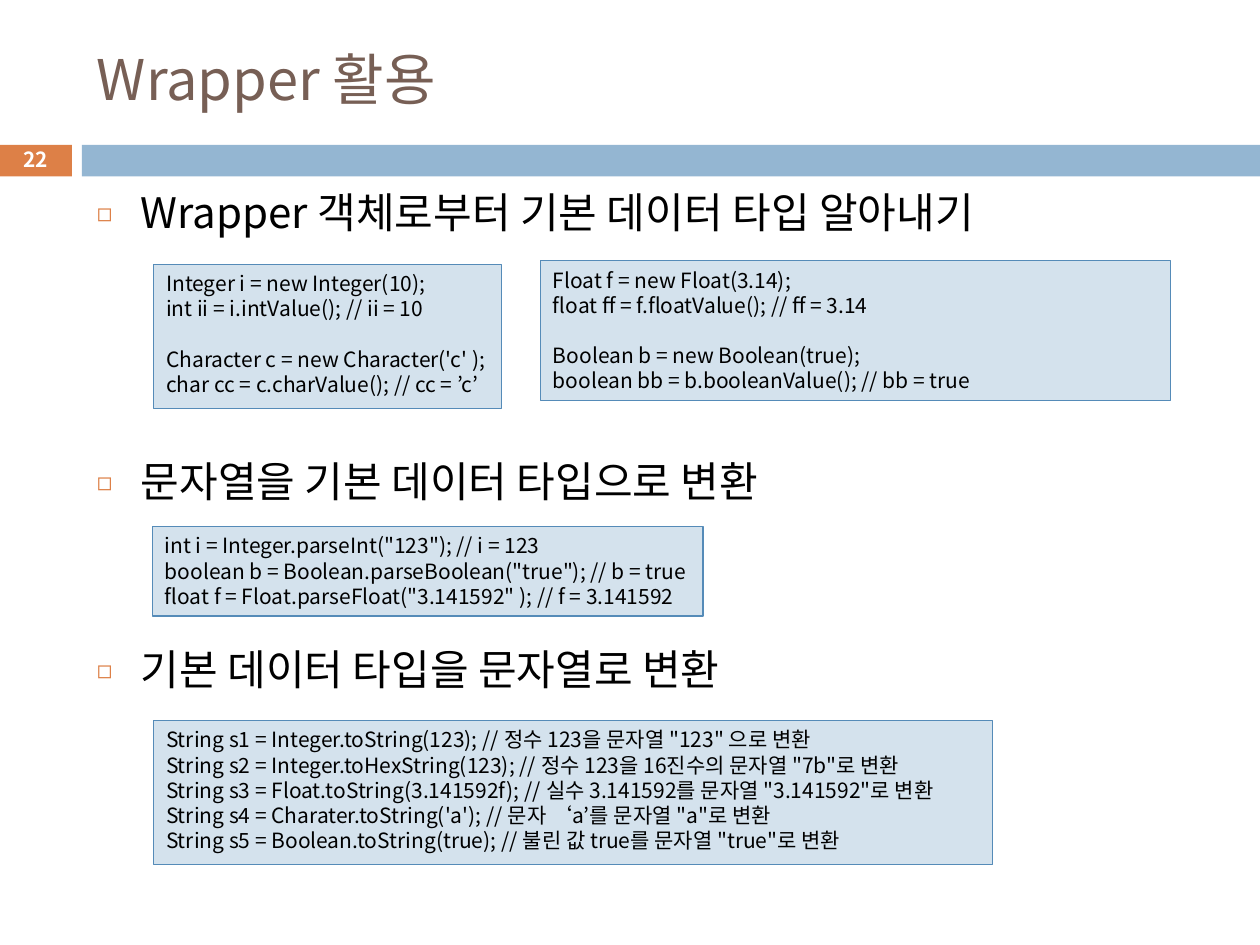
"""Build the slide on converting values with Java wrapper classes."""
import pptx
import pptx.dml.color
import pptx.enum.shapes
import pptx.enum.text
import pptx.oxml.ns
import pptx.util
from lxml import etree
from pptx.util import Inches, Pt

COLORS = {"title": "775F55", "text": "000000", "white": "FFFFFF", "accent": "DD8047",
          "band": "94B6D2", "code_fill": "D4E2ED", "code_line": "558BB8"}
FONT = "Noto Sans CJK KR"
LINE_HEIGHT = 1.2
ANCHOR = pptx.enum.text.MSO_ANCHOR
qn = pptx.oxml.ns.qn


def add_rect(box, fill, line=None):
    rect = slide.shapes.add_shape(pptx.enum.shapes.MSO_SHAPE.RECTANGLE, *map(Inches, box))
    rect.shadow.inherit = False
    rect.fill.solid()
    rect.fill.fore_color.rgb = pptx.dml.color.RGBColor.from_string(COLORS[fill])
    if line:
        rect.line.color.rgb = pptx.dml.color.RGBColor.from_string(COLORS[line])
        rect.line.width = Pt(0.75)
    else:
        rect.line.fill.background()
    return rect


def write_lines(frame, lines, size, color="text", anchor=ANCHOR.TOP):
    frame.vertical_anchor = anchor
    for index, (words, gap) in enumerate(lines):
        paragraph = frame.paragraphs[0] if index == 0 else frame.add_paragraph()
        paragraph.alignment = pptx.enum.text.PP_ALIGN.LEFT
        paragraph.line_spacing = Pt(size * LINE_HEIGHT)
        paragraph.space_before = Pt(gap)
        run = paragraph.add_run()
        run.text = words
        run.font.size = Pt(size)
        run.font.name = FONT
        run.font.color.rgb = pptx.dml.color.RGBColor.from_string(COLORS[color])
        etree.SubElement(run.font._element, qn("a:ea"), typeface=FONT)
    return frame.paragraphs


presentation = pptx.Presentation()
presentation.slide_width, presentation.slide_height = Inches(10), Inches(7.5)
slide = presentation.slides.add_slide(presentation.slide_layouts[6])

add_rect((-0.01, 1.15, 0.58, 0.25), "accent")
add_rect((0.65, 1.15, 9.35, 0.25), "band")

title = slide.shapes.add_textbox(Inches(0.67), Inches(0.25), Inches(8.92), Inches(0.74))
title.text_frame.word_wrap = True
write_lines(title.text_frame, [("Wrapper 활용", 0)], 32, "title", ANCHOR.MIDDLE)

topics = slide.shapes.add_textbox(Inches(0.67), Inches(1.43), Inches(8.92), Inches(6.07))
topics.text_frame.word_wrap = True
headings = [("Wrapper 객체로부터 기본 데이터 타입 알아내기", 0),
            ("문자열을 기본 데이터 타입으로 변환", 125),
            ("기본 데이터 타입을 문자열로 변환", 78.4)]
for heading in write_lines(topics.text_frame, headings, 24):
    properties = heading._p.get_or_add_pPr()
    properties.set("marL", str(Inches(0.35)))
    properties.set("indent", str(-Inches(0.35)))
    bullet_color = etree.SubElement(properties, qn("a:buClr"))
    etree.SubElement(bullet_color, qn("a:srgbClr"), val=COLORS["accent"])
    etree.SubElement(properties, qn("a:buSzPct"), val="60000")
    etree.SubElement(properties, qn("a:buFont"), typeface=FONT)
    etree.SubElement(properties, qn("a:buChar"), char="◻")

page_number = slide.shapes.add_textbox(Inches(-0.01), Inches(1.13), Inches(0.58), Inches(0.27))
page_number.text_frame.word_wrap = True
page_line = write_lines(page_number.text_frame, [("22", 0)], 11.9, "white", ANCHOR.MIDDLE)[0]
page_line.alignment = pptx.enum.text.PP_ALIGN.CENTER
page_line.runs[0].font.bold = True

code_samples = [
    ((1.22, 2.1, 2.76, 1.14), False, [
        ("Integer i = new Integer(10);", 0),
        ("int ii = i.intValue(); // ii = 10", 0),
        ("Character c = new Character('c' );", 14.4),
        ("char cc = c.charValue(); // cc = ’c’", 0)]),
    ((1.21, 4.18, 4.37, 0.71), False, [
        ('int i = Integer.parseInt("123"); // i = 123', 0),
        ('boolean b = Boolean.parseBoolean("true"); // b = true', 0),
        ('float f = Float.parseFloat("3.141592" ); // f = 3.141592', 0)]),
    ((1.22, 5.72, 6.66, 1.14), False, [
        ('String s1 = Integer.toString(123); // 정수 123을 문자열 "123" 으로 변환', 0),
        ('String s2 = Integer.toHexString(123); // 정수 123을 16진수의 문자열 "7b"로 변환', 0),
        ('String s3 = Float.toString(3.141592f); // 실수 3.141592를 문자열 "3.141592"로 변환', 0),
        ("String s4 = Charater.toString('a'); // 문자 ‘a’를 문자열 \"a\"로 변환", 0),
        ('String s5 = Boolean.toString(true); // 불린 값 true를 문자열 "true"로 변환', 0)]),
    ((4.29, 2.07, 5, 1.11), True, [
        ("Float f = new Float(3.14);", 0),
        ("float ff = f.floatValue(); // ff = 3.14", 0),
        ("Boolean b = new Boolean(true);", 14.4),
        ("boolean bb = b.booleanValue(); // bb = true", 0)]),
]
for box, wraps, code_lines in code_samples:
    code = add_rect(box, "code_fill", "code_line").text_frame
    code.word_wrap = wraps
    code.auto_size = pptx.enum.text.MSO_AUTO_SIZE.SHAPE_TO_FIT_TEXT
    write_lines(code, code_lines, 12)

presentation.save("out.pptx")
